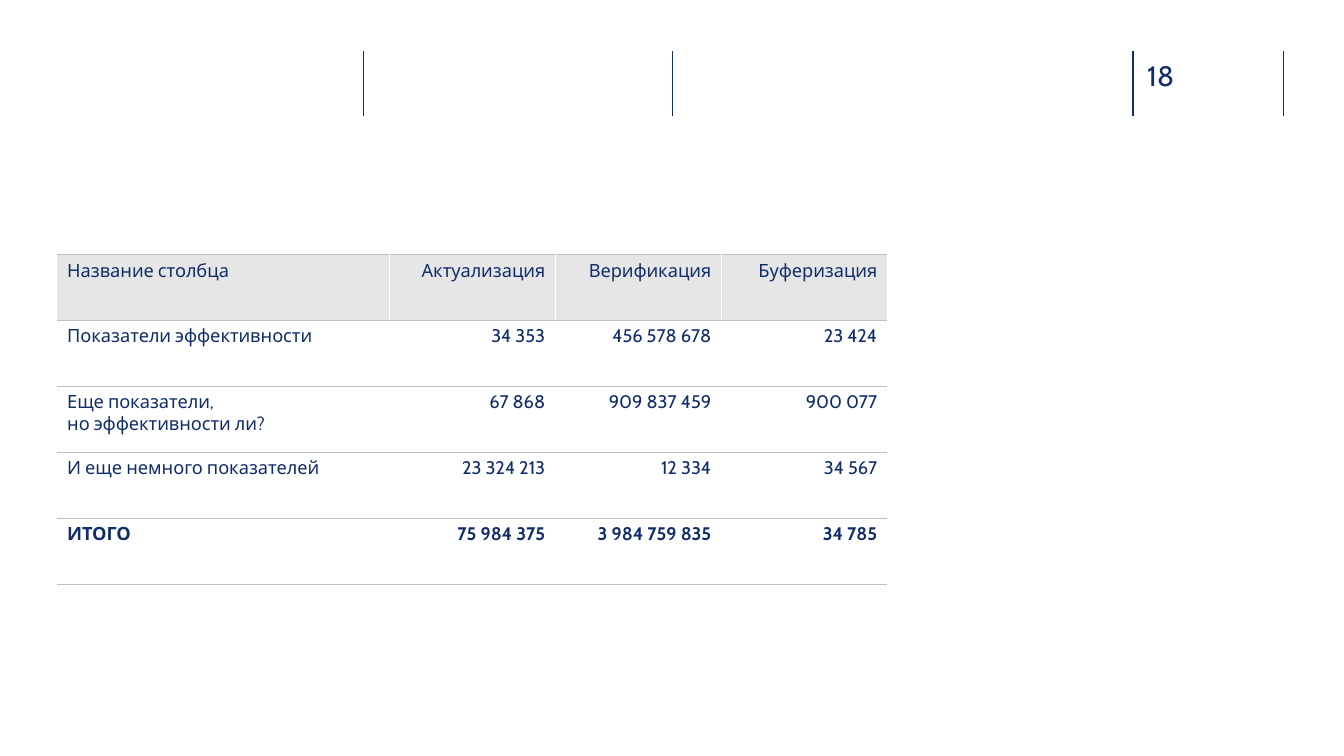
from lxml.etree import SubElement
from pptx import Presentation
from pptx.dml.color import RGBColor
from pptx.enum.shapes import MSO_CONNECTOR as Connector
from pptx.enum.text import MSO_AUTO_SIZE as AutoSize, PP_ALIGN as Align
from pptx.oxml.ns import qn
from pptx.util import Pt

FONT = "Cabin"
NAVY, GREY, HEADER, WHITE = "102D69", "BFBFBF", "E7E6E6", "FFFFFF"
PAGE_NUMBER = "18"
ROWS = [
    ("Название столбца", "Актуализация", "Верификация", "Буферизация"),
    ("Показатели эффективности", "34 353", "456 578 678", "23 424"),
    ("Еще показатели, \nно эффективности ли?", "67 868", "909 837 459", "900 077"),
    ("И еще немного показателей", "23 324 213", "12 334", "34 567"),
    ("ИТОГО", "75 984 375", "3 984 759 835", "34 785"),
]
COLUMN_WIDTHS = (237.2, 118.6, 118.6, 118.6)
ROW_HEIGHT = 47.1
TABLE_LEFT, TABLE_TOP = 40.8, 181.8
RULES_X = (259.6, 480.4, 809.2, 916.7)
RULE_TOP, RULE_BOTTOM = 36.6, 82.8


def color(value):
    return RGBColor.from_string(value)


def write(para, text, size, bold=False):
    for index, line in enumerate(text.split("\n")):
        if index:
            para.add_line_break()
        span = para.add_run()
        span.text = line
        span.font.name = FONT
        span.font.size = Pt(size)
        span.font.bold = bold
        span.font.color.rgb = color(NAVY)


def add_rule(page, x):
    rule = page.shapes.add_connector(
        Connector.STRAIGHT, Pt(x), Pt(RULE_TOP), Pt(x), Pt(RULE_BOTTOM))
    rule.line.width = Pt(1)
    rule.line.color.rgb = color(NAVY)
    SubElement(rule._element.spPr, qn("a:effectLst"))


def add_border(cell, side, width, value):
    properties = cell._tc.get_or_add_tcPr()
    border = SubElement(properties, qn("a:" + side), w=str(Pt(width)))
    if value:
        fill = SubElement(border, qn("a:solidFill"))
        SubElement(fill, qn("a:srgbClr"), val=value)
    else:
        SubElement(border, qn("a:noFill"))


def add_figures(page):
    row_count, column_count = len(ROWS), len(COLUMN_WIDTHS)
    table = page.shapes.add_table(
        row_count, column_count, Pt(TABLE_LEFT), Pt(TABLE_TOP),
        Pt(sum(COLUMN_WIDTHS)), Pt(ROW_HEIGHT * row_count)).table
    table.first_row = table.horz_banding = False
    for column, width in zip(table.columns, COLUMN_WIDTHS):
        column.width = Pt(width)
    for r, texts in enumerate(ROWS):
        table.rows[r].height = Pt(ROW_HEIGHT)
        for c, text in enumerate(texts):
            cell = table.cell(r, c)
            add_border(cell, "lnL", 0.25, WHITE if c > 0 else None)
            add_border(cell, "lnR", 0.25, WHITE if c < column_count - 1 else None)
            add_border(cell, "lnT", 0.75, GREY)
            add_border(cell, "lnB", 0.75, GREY)
            if r == 0:
                cell.fill.solid()
                cell.fill.fore_color.rgb = color(HEADER)
            else:
                cell.fill.background()
            para = cell.text_frame.paragraphs[0]
            para.alignment = Align.RIGHT if c else Align.LEFT
            write(para, text, 13, bold=r == row_count - 1)


def add_page_number(page):
    box = page.shapes.add_textbox(Pt(819.4), Pt(41.8), Pt(52.6), Pt(24.5))
    frame = box.text_frame
    frame.word_wrap = True
    frame.auto_size = AutoSize.SHAPE_TO_FIT_TEXT
    frame.margin_left = frame.margin_top = frame.margin_right = frame.margin_bottom = 0
    write(frame.paragraphs[0], PAGE_NUMBER, 20)


def main():
    deck = Presentation()
    deck.slide_width, deck.slide_height = Pt(960), Pt(540)
    page = deck.slides.add_slide(deck.slide_layouts[6])
    for x in RULES_X:
        add_rule(page, x)
    add_page_number(page)
    add_figures(page)
    deck.save("out.pptx")


if __name__ == "__main__":
    main()
